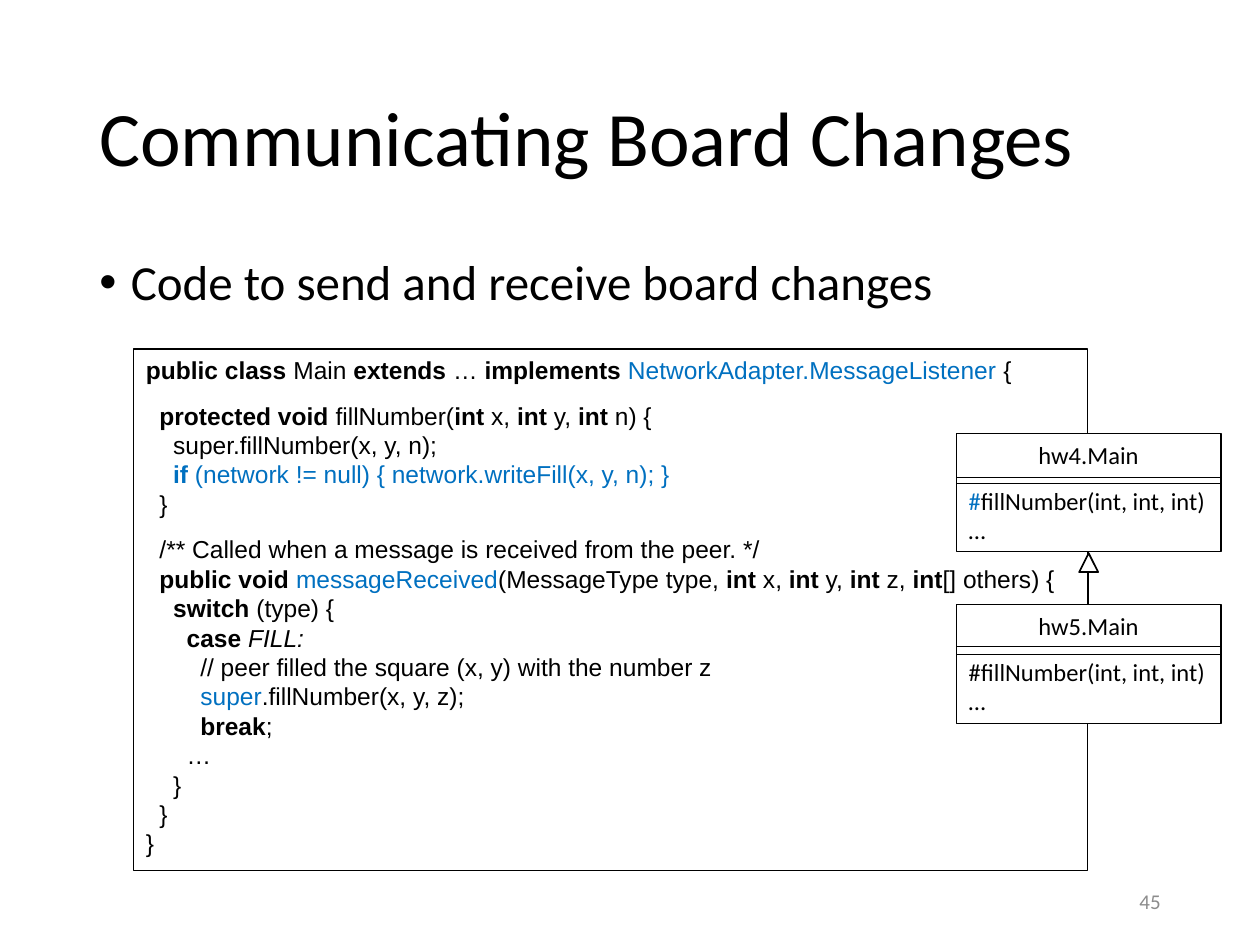
from dataclasses import dataclass

from lxml import etree
from pptx import Presentation
from pptx import util as u
from pptx.dml.color import RGBColor
from pptx.enum import shapes, text
from pptx.oxml.ns import qn

BLACK, BLUE, WHITE, GREY = "000000", "0070C0", "FFFFFF", "8C8C8C"
INDENT = 7.78  # one code level


@dataclass
class Run:
    text: str
    bold: bool = False
    italic: bool = False
    color: str = BLACK


@dataclass
class Line:
    runs: list[Run]
    level: int = 0
    gap: float = 0
    align: text.PP_ALIGN = text.PP_ALIGN.LEFT


@dataclass
class ClassBox:
    name: str
    top: float
    dividers: tuple[float, float]
    mark_color: str


def rgb(color: str) -> RGBColor:
    """Turn a hex string into a colour."""
    return RGBColor.from_string(color)


def plain(value: str) -> Run:
    """Regular black text."""
    return Run(value)


def bold(value: str) -> Run:
    """Bold black text."""
    return Run(value, bold=True)


def blue(value: str, strong: bool = False) -> Run:
    """Highlighted text."""
    return Run(value, bold=strong, color=BLUE)


def params(names: str) -> list[Run]:
    """Int parameters separated by commas."""
    runs = []
    for i, name in enumerate(names):
        runs += [bold("int"), plain(f" {name}" + (", " if i < len(names) - 1 else ""))]
    return runs


def write(tf, lines: list[Line], font: str, size: float) -> None:
    """Fill a text frame line by line, run by run."""
    for i, line in enumerate(lines):
        p = tf.paragraphs[0] if i == 0 else tf.add_paragraph()
        p.alignment = line.align
        p.space_before = u.Pt(line.gap)
        if line.level:
            p._p.get_or_add_pPr().set("marL", str(u.Pt(line.level * INDENT)))
        for run in line.runs:
            r = p.add_run()
            r.text = run.text
            r.font.name, r.font.size = font, u.Pt(size)
            r.font.bold, r.font.italic = run.bold, run.italic
            r.font.color.rgb = rgb(run.color)


def add_label(s, box: tuple, value: str, size: float, color: str = BLACK,
              anchor=text.MSO_ANCHOR.MIDDLE, align=text.PP_ALIGN.LEFT):
    """Add a one-line text box and return its paragraph."""
    tf = s.shapes.add_textbox(*map(u.Pt, box)).text_frame
    tf.word_wrap = True
    tf.vertical_anchor = anchor
    write(tf, [Line([Run(value, color=color)], align=align)], "Calibri", size)
    return tf.paragraphs[0]


def add_box(s, kind, box: tuple, width: float, fill: str | None = None):
    """Add an outlined shape with top-anchored text."""
    sp = s.shapes.add_shape(kind, *map(u.Pt, box))
    sp.shadow.inherit = False
    if fill:
        sp.fill.solid()
        sp.fill.fore_color.rgb = rgb(fill)
    else:
        sp.fill.background()
    sp.line.color.rgb, sp.line.width = rgb(BLACK), u.Pt(width)
    sp.text_frame.vertical_anchor = text.MSO_ANCHOR.TOP
    return sp


def add_line(s, x1: float, y1: float, x2: float, y2: float) -> None:
    """Add a thin straight line."""
    c = s.shapes.add_connector(shapes.MSO_CONNECTOR.STRAIGHT, *map(u.Pt, (x1, y1, x2, y2)))
    c.line.color.rgb, c.line.width = rgb(BLACK), u.Pt(0.5)
    etree.SubElement(c._element.spPr, qn("a:effectLst"))


def add_class(s, item: ClassBox, left: float, width: float, height: float) -> None:
    """Add a class box with its double divider."""
    sp = add_box(s, shapes.MSO_SHAPE.RECTANGLE, (left, item.top, width, height), 0.75, WHITE)
    sp.text_frame.word_wrap = False
    write(sp.text_frame, [
        Line([plain(item.name)], align=text.PP_ALIGN.CENTER),
        Line([Run("#", color=item.mark_color), plain("fillNumber(int, int, int)")], gap=9.5),
        Line([plain("…")]),
    ], "Calibri", 14)
    for offset in item.dividers:
        add_line(s, left, item.top + offset, left + width, item.top + offset)


CODE = [
    Line([bold("public class"), plain(" Main "), bold("extends"), plain(" … "),
          bold("implements "), blue("NetworkAdapter.MessageListener"), plain(" {")]),
    Line([bold("protected void "), plain("fillNumber("), *params("xyn"), plain(") {")], 1, 9.2),
    Line([plain("super.fillNumber(x, y, n);")], 2),
    Line([blue("if", True), blue(" (network != null) { network.writeFill(x, y, n); }")], 2),
    Line([plain("}")], 1),
    Line([plain("/** Called when a message is received from the peer. */")], 1, 9.2),
    Line([bold("public void "), blue("messageReceived"), plain("(MessageType type, "),
          *params("xyz"), plain(", "), bold("int"), plain("[] others) {")], 1),
    Line([bold("switch "), plain("(type) {")], 2),
    Line([bold("case "), Run("FILL:", italic=True)], 3),
    Line([plain("// peer filled the square (x, y) with the number z")], 4),
    Line([blue("super"), plain(".fillNumber(x, y, z);")], 4),
    Line([bold("break"), plain(";")], 4),
    Line([plain("…")], 3),
    *[Line([plain("}")], level) for level in (2, 1, 0)],
]
CLASSES = [ClassBox("hw5.Main", 345.6, (23.8, 28.1), BLACK),
           ClassBox("hw4.Main", 247.7, (25.2, 28.8), BLUE)]
CLASS_LEFT, CLASS_WIDTH, CLASS_HEIGHT = 546.5, 151.2, 67.7

prs = Presentation()
prs.slide_width, prs.slide_height = u.Pt(720), u.Pt(540)
s = prs.slides.add_slide(prs.slide_layouts[6])

code = add_box(s, shapes.MSO_SHAPE.RECTANGLE, (76.3, 199.4, 545, 298.1), 0.75)
code.text_frame.word_wrap = True
write(code.text_frame, CODE, "Arial", 14)

title = add_label(s, (49.7, 28.8, 619.2, 104.4), "Communicating Board Changes", 44)
title.line_spacing = 0.9
bullet = add_label(s, (49.7, 144, 571.7, 49.7), "Code to send and receive board changes", 28,
                   anchor=text.MSO_ANCHOR.TOP)
bullet.line_spacing, bullet.space_before = 0.9, u.Pt(10)
pPr = bullet._p.get_or_add_pPr()
pPr.set("marL", str(u.Pt(18)))
pPr.set("indent", str(u.Pt(-18)))
etree.SubElement(pPr, qn("a:buFont")).set("typeface", "Arial")
etree.SubElement(pPr, qn("a:buChar")).set("char", "•")
add_label(s, (508.3, 500.4, 162, 28.8), "45", 12, GREY, align=text.PP_ALIGN.RIGHT)

center = CLASS_LEFT + CLASS_WIDTH / 2
parent_bottom = CLASSES[1].top + CLASS_HEIGHT
add_line(s, center, CLASSES[0].top, center, parent_bottom)
add_box(s, shapes.MSO_SHAPE.ISOSCELES_TRIANGLE,
        (center - 5.4, parent_bottom + 0.7, 10.8, 10.8), 1, WHITE)
for item in CLASSES:
    add_class(s, item, CLASS_LEFT, CLASS_WIDTH, CLASS_HEIGHT)

prs.save("out.pptx")
